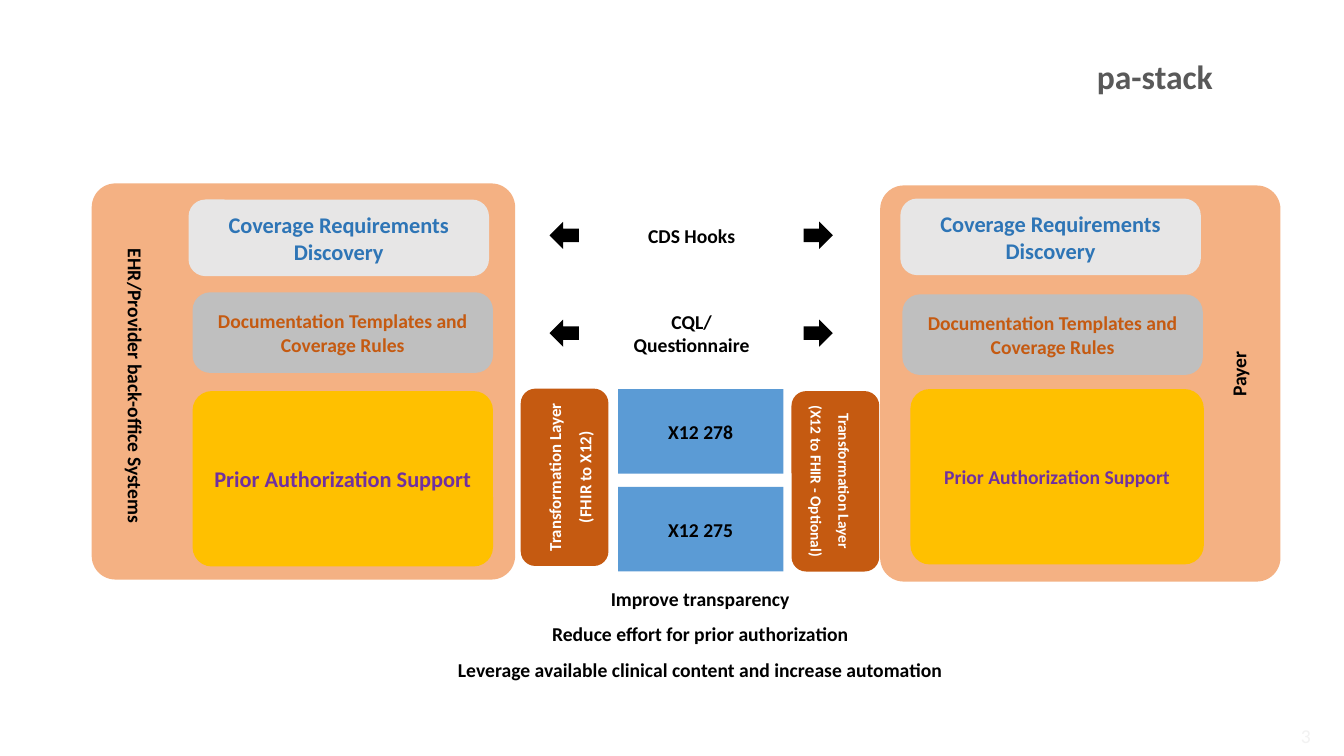
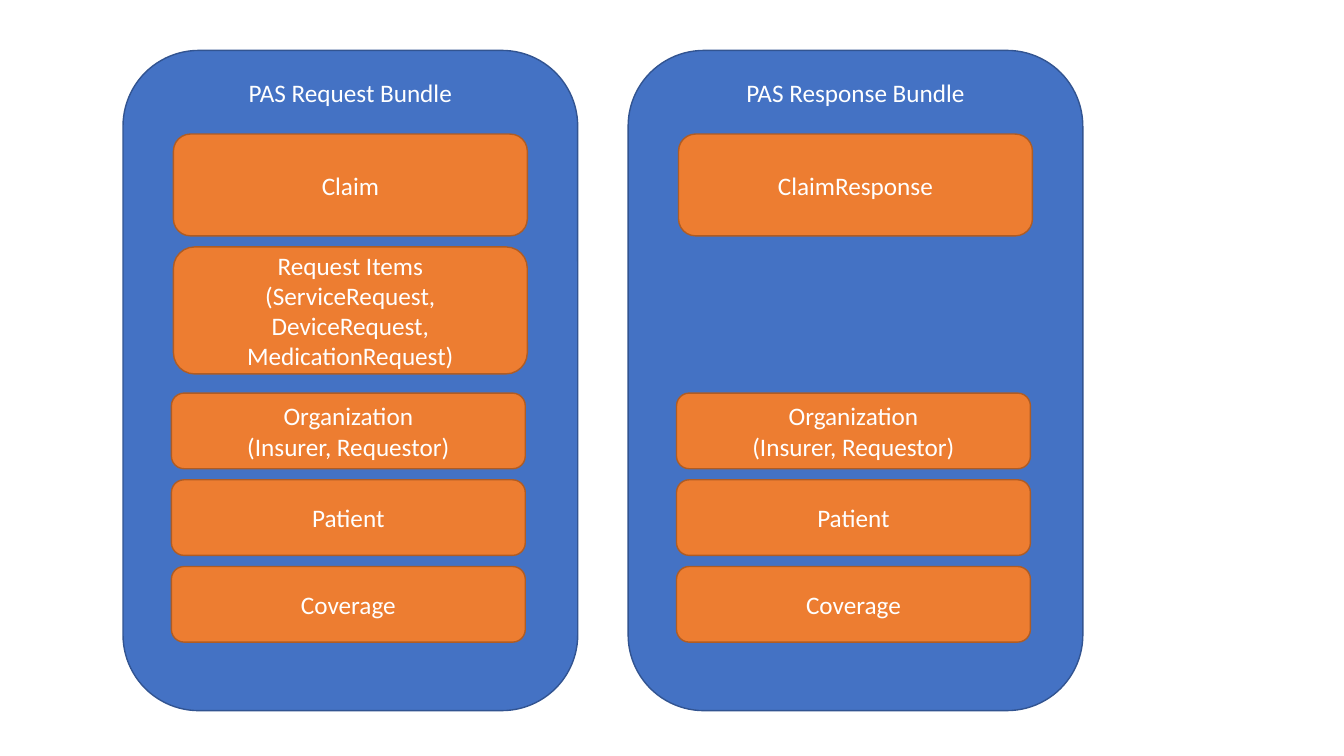
"""Build two slides on prior authorization: the system stack and the request and response bundles."""
from dataclasses import dataclass

from pptx import Presentation
from pptx.dml.color import RGBColor
from pptx.enum.shapes import MSO_SHAPE as Shape
from pptx.enum.text import MSO_ANCHOR as Anchor, PP_ALIGN as Align
from pptx.util import Inches, Pt


@dataclass(frozen=True)
class Theme:
    font: str = "Calibri"
    heading: str = "595959"
    black: str = "000000"
    white: str = "FFFFFF"
    page: str = "F2F2F2"
    system: str = "F4B183"
    discovery: str = "E7E6E6"
    discovery_text: str = "2E75B6"
    rules: str = "BFBFBF"
    rust: str = "C55A11"
    support: str = "FFC000"
    support_text: str = "7030A0"
    message: str = "5B9BD5"
    bundle: str = "4472C4"
    bundle_edge: str = "325491"
    resource: str = "ED7D31"
    resource_edge: str = "AF5C24"
    title_size: int = 24
    bundle_size: int = 18
    large: int = 16
    label: int = 14
    small: int = 12
    tiny: int = 11


THEME = Theme()

TITLE = "pa-stack"
PAGE_NUMBER = "3"
SYSTEMS = [
    ("EHR/Provider back-office Systems", (0.91, 1.82, 4.2, 3.93), (-0.33, 3.66, 3.35, 0.34), 90),
    ("Payer", (8.73, 1.84, 3.97, 3.93), (11.56, 3.54, 1.45, 0.34), 270),
]
LAYERS = [
    ("Coverage Requirements Discovery", THEME.discovery, THEME.discovery_text, 0.22,
     [((1.87, 1.98, 2.98, 0.76), THEME.large), ((8.93, 1.97, 2.98, 0.76), THEME.large)]),
    ("Documentation Templates and Coverage Rules", THEME.rules, THEME.rust, 0.22,
     [((1.91, 2.9, 2.98, 0.8), THEME.label), ((8.95, 2.92, 2.98, 0.8), THEME.label)]),
    ("Prior Authorization Support", THEME.support, THEME.support_text, 0.11,
     [((1.91, 3.88, 2.98, 1.74), THEME.large), ((9.03, 3.86, 2.91, 1.74), THEME.label)]),
]
EXCHANGES = [("CDS Hooks", 2.02), ("CQL/\nQuestionnaire", 2.99)]
ARROWS = [(5.45, 180), (7.97, 0)]
TRANSFORMATIONS = [
    ("Transformation Layer (FHIR to X12)", (4.72, 4.3, 1.76, 0.87), 270, THEME.small),
    ("Transformation Layer (X12 to FHIR - Optional)", (7.39, 4.34, 1.79, 0.87), 90, THEME.tiny),
]
MESSAGES = ["X12 278", "X12 275"]
BENEFITS = [
    "Improve transparency",
    "Reduce effort for prior authorization",
    "Leverage available clinical content and increase automation",
]

BUNDLES = [
    ("PAS Request Bundle", [
        ("Claim", 1.33, 1.01),
        ("Request Items\n(ServiceRequest, DeviceRequest, MedicationRequest)", 2.45, 1.26),
    ]),
    ("PAS Response Bundle", [("ClaimResponse", 1.33, 1.01)]),
]
SHARED_RESOURCES = ["Organization\n(Insurer, Requestor)", "Patient", "Coverage"]


def lengths(box):
    return [Inches(value) for value in box]


def write(holder, text, size, color, bold=True, align=Align.CENTER,
          anchor=Anchor.MIDDLE, spacing=None):
    frame = holder.text_frame
    frame.text = text
    frame.word_wrap = True
    frame.vertical_anchor = anchor
    for paragraph in frame.paragraphs:
        paragraph.alignment = align
        if spacing:
            paragraph.line_spacing = spacing
        for run in paragraph.runs:
            run.font.name = THEME.font
            run.font.size = Pt(size)
            run.font.bold = bold
            run.font.color.rgb = RGBColor.from_string(color)


def add_block(slide, kind, box, fill, edge=None, corner=None, turn=0):
    block = slide.shapes.add_shape(kind, *lengths(box))
    block.shadow.inherit = False
    block.fill.solid()
    block.fill.fore_color.rgb = RGBColor.from_string(fill)
    if edge:
        block.line.color.rgb = RGBColor.from_string(edge)
        block.line.width = Pt(1)
    else:
        block.line.fill.background()
    if corner is not None:
        block.adjustments[0] = corner
    block.rotation = turn
    return block


def add_label(slide, text, box, turn=0, size=THEME.label, color=THEME.black, **style):
    label = slide.shapes.add_textbox(*lengths(box))
    label.rotation = turn
    write(label, text, size, color, **style)


def build_stack(prs):
    slide = prs.slides.add_slide(prs.slide_layouts[5])
    title = slide.shapes.title
    title.left, title.top, title.width, title.height = lengths((5.21, 0.55, 6.92, 0.4))
    write(title, TITLE, THEME.title_size, THEME.heading, align=Align.RIGHT)

    for name, panel, side, turn in SYSTEMS:
        add_block(slide, Shape.ROUNDED_RECTANGLE, panel, THEME.system, corner=0.06)
        add_label(slide, name, side, turn)

    for name, fill, ink, corner, places in LAYERS:
        for box, size in places:
            layer = add_block(slide, Shape.ROUNDED_RECTANGLE, box, fill, corner=corner)
            write(layer, name, size, ink)

    for name, top in EXCHANGES:
        add_label(slide, name, (5.88, top, 1.96, 0.63))
        for left, turn in ARROWS:
            add_block(slide, Shape.RIGHT_ARROW, (left, top + 0.18, 0.29, 0.27),
                      THEME.black, turn=turn)

    for name, box, turn, size in TRANSFORMATIONS:
        transformation = add_block(slide, Shape.ROUNDED_RECTANGLE, box, THEME.rust, turn=turn)
        write(transformation, name, size, THEME.white, spacing=1.5)
        transformation.text_frame.margin_left = Inches(0.05)
        transformation.text_frame.margin_right = Inches(0.05)

    for row, name in enumerate(MESSAGES):
        message = add_block(slide, Shape.RECTANGLE, (6.13, 3.86 + 0.97 * row, 1.64, 0.84),
                            THEME.message)
        write(message, name, THEME.label, THEME.black)

    for row, benefit in enumerate(BENEFITS):
        add_label(slide, benefit, (3.72, 5.73 + 0.35 * row, 6.45, 0.42))

    add_label(slide, PAGE_NUMBER, (12.2, 7.13, 0.9, 0.34), size=THEME.label,
              color=THEME.page, bold=False, align=Align.RIGHT)


def build_bundles(prs):
    slide = prs.slides.add_slide(prs.slide_layouts[6])
    for column, (name, own_resources) in enumerate(BUNDLES):
        left = 1.22 + 5.01 * column
        bundle = add_block(slide, Shape.ROUNDED_RECTANGLE, (left, 0.5, 4.51, 6.55),
                           THEME.bundle, THEME.bundle_edge)
        write(bundle, name, THEME.bundle_size, THEME.white, bold=False, anchor=Anchor.TOP)

        resources = [(text, left + 0.5, top, height) for text, top, height in own_resources]
        resources += [(text, left + 0.48, 3.9 + 0.86 * row, 0.75)
                      for row, text in enumerate(SHARED_RESOURCES)]
        for text, start, top, height in resources:
            resource = add_block(slide, Shape.ROUNDED_RECTANGLE, (start, top, 3.51, height),
                                 THEME.resource, THEME.resource_edge)
            write(resource, text, THEME.bundle_size, THEME.white, bold=False)


def main():
    prs = Presentation()
    prs.slide_width, prs.slide_height = Inches(13.33), Inches(7.5)
    build_stack(prs)
    build_bundles(prs)
    prs.save("out.pptx")


if __name__ == "__main__":
    main()
